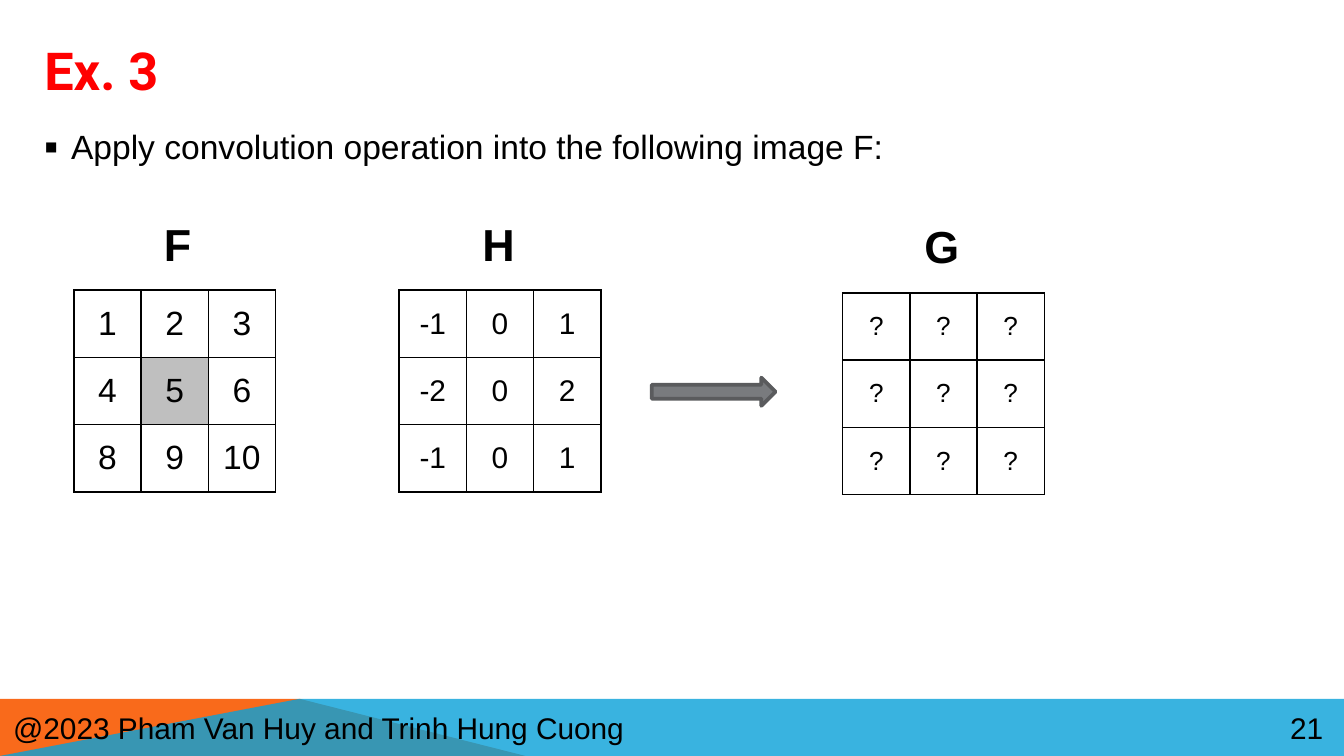
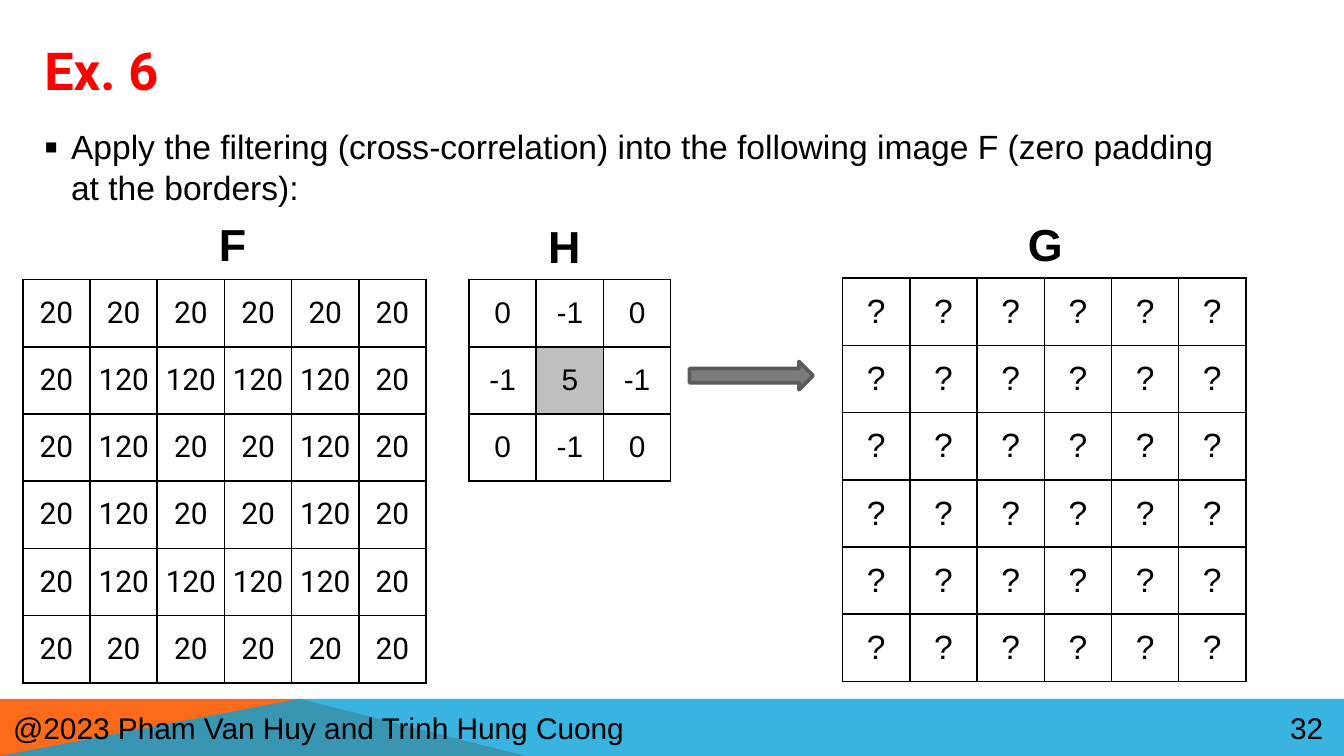
from dataclasses import dataclass
from typing import Optional

from lxml import etree
from pptx import Presentation
from pptx.dml.color import RGBColor
from pptx.enum import shapes, text
from pptx.oxml import ns
from pptx.util import Inches, Pt

WHITE = RGBColor(0xFF, 0xFF, 0xFF)
BLACK = RGBColor(0x00, 0x00, 0x00)
TITLE_RED = RGBColor(0xFF, 0x00, 0x00)
BAND_ORANGE = RGBColor(0xF9, 0x6A, 0x1B)
BAND_BLUE = RGBColor(0x08, 0xA1, 0xD9)
CENTRE_GREY = RGBColor(0xBF, 0xBF, 0xBF)
ARROW_FILL = RGBColor(0x79, 0x7B, 0x7E)
ARROW_LINE = RGBColor(0x5A, 0x5B, 0x5D)

BODY_FONT = "Arial"
TITLE_FONT = "Roboto"
SLIDE_WIDTH = 10
SLIDE_HEIGHT = SLIDE_WIDTH * 9 / 16
BAND_TOP, BAND_PEAK = 5.2, 2.23
CELL_SIZE = 0.5
LABEL_WIDTHS = {"F": 0.41, "G": 0.46, "H": 0.45}
FOOTER = "@2023 Pham Van Huy and Trinh Hung Cuong"


@dataclass(frozen=True)
class Matrix:
    """A labelled grid; marked_fill colours the cell in row 2, column 2."""
    name: str
    left: float
    top: float
    label_left: float
    label_top: float
    size: int
    rows: list[list[str]]
    marked_fill: Optional[RGBColor] = None
    font: str = BODY_FONT


@dataclass(frozen=True)
class Exercise:
    title: str
    task: str
    number: int
    arrow_left: float
    arrow_top: float
    matrices: list[Matrix]


def split_rows(*rows: str) -> list[list[str]]:
    return [row.split() for row in rows]


def unknown(count: int) -> list[list[str]]:
    return [["?"] * count for _ in range(count)]


EDGE_ROW = "20 20 20 20 20 20"
FULL_ROW = "20 120 120 120 120 20"
HOLLOW_ROW = "20 120 20 20 120 20"

EXERCISES = [
    Exercise(
        "Ex. 3", "Apply convolution operation into the following image F:",
        21, 4.85, 2.81,
        [
            Matrix("F", 0.55, 2.16, 1.12, 1.56, 18,
                   split_rows("1 2 3", "4 5 6", "8 9 10"), CENTRE_GREY),
            Matrix("H", 2.97, 2.16, 3.49, 1.56, 16,
                   split_rows("-1 0 1", "-2 0 2", "-1 0 1")),
            Matrix("G", 6.27, 2.18, 6.78, 1.58, 14, unknown(3), WHITE),
        ]),
    Exercise(
        "Ex. 6", "Apply the filtering (cross-correlation) into the following "
        "image F (zero padding at the borders):",
        32, 5.13, 2.69,
        [
            Matrix("F", 0.17, 2.08, 1.53, 1.56, 16,
                   split_rows(EDGE_ROW, FULL_ROW, HOLLOW_ROW,
                              HOLLOW_ROW, FULL_ROW, EDGE_ROW),
                   WHITE, TITLE_FONT),
            Matrix("H", 3.49, 2.08, 3.98, 1.58, 16,
                   split_rows("0 -1 0", "-1 5 -1", "0 -1 0"), CENTRE_GREY),
            Matrix("G", 6.27, 2.07, 7.55, 1.56, 18, unknown(6), WHITE),
        ]),
]


def format_paragraph(paragraph, size: int, name: str = BODY_FONT,
                     color: RGBColor = BLACK, bold: bool = False) -> None:
    font = paragraph.font
    font.size, font.name, font.bold = Pt(size), name, bold
    font.color.rgb = color


def add_text(slide, content: str, left: float, top: float, width: float,
             height: float, wrap: bool = True):
    """Add a text box and return its frame and only paragraph."""
    box = slide.shapes.add_textbox(Inches(left), Inches(top),
                                   Inches(width), Inches(height))
    frame = box.text_frame
    frame.word_wrap = wrap
    frame.text = content
    return frame, frame.paragraphs[0]


def add_band(slide, points: list[tuple[float, float]], color: RGBColor,
             opacity: int = 100) -> None:
    corners = [(Inches(x), Inches(y)) for x, y in points]
    builder = slide.shapes.build_freeform(*corners[0])
    builder.add_line_segments(corners[1:])
    band = builder.convert_to_shape()
    band.shadow.inherit = False
    band.line.fill.background()
    band.fill.solid()
    band.fill.fore_color.rgb = color
    if opacity < 100:
        color_element = band._element.spPr.find(".//" + ns.qn("a:srgbClr"))
        etree.SubElement(color_element, ns.qn("a:alpha"),
                         val=str(opacity * 1000))


def add_footer(slide, number: int) -> None:
    add_band(slide, [(0, SLIDE_HEIGHT), (0, BAND_TOP), (BAND_PEAK, BAND_TOP),
                     (3.91, SLIDE_HEIGHT)], BAND_ORANGE)
    add_band(slide, [(0, SLIDE_HEIGHT), (BAND_PEAK, BAND_TOP),
                     (SLIDE_WIDTH, BAND_TOP), (SLIDE_WIDTH, SLIDE_HEIGHT)],
             BAND_BLUE, 80)
    for content, left, width, alignment in (
            (FOOTER, 0, 4.8, text.PP_ALIGN.LEFT),
            (str(number), 9.5, 0.49, text.PP_ALIGN.JUSTIFY)):
        frame, paragraph = add_text(slide, content, left, 5.23, width, 0.37)
        frame.vertical_anchor = text.MSO_ANCHOR.MIDDLE
        paragraph.alignment = alignment
        format_paragraph(paragraph, 16)


def set_title(slide, content: str) -> None:
    title = slide.shapes.title
    title.left, title.top = Inches(0.23), Inches(0.29)
    title.width, title.height = Inches(8.23), Inches(0.45)
    frame = title.text_frame
    frame.text = content
    frame.auto_size = text.MSO_AUTO_SIZE.NONE
    frame.vertical_anchor = text.MSO_ANCHOR.MIDDLE
    paragraph = frame.paragraphs[0]
    paragraph.alignment = text.PP_ALIGN.LEFT
    format_paragraph(paragraph, 28, TITLE_FONT, TITLE_RED, True)


def add_task(slide, content: str) -> None:
    _, paragraph = add_text(slide, content, 0.23, 0.89, 8.95, 4.24)
    properties = paragraph._p.get_or_add_pPr()
    properties.set("marL", str(Inches(0.2)))
    properties.set("indent", str(-Inches(0.2)))
    etree.SubElement(properties, ns.qn("a:buSzPct"), val="120000")
    etree.SubElement(properties, ns.qn("a:buFont"), typeface=BODY_FONT)
    etree.SubElement(properties, ns.qn("a:buChar"), char="▪")
    format_paragraph(paragraph, 18)


def add_borders(cell) -> None:
    properties = cell._tc.get_or_add_tcPr()
    for side in ("lnL", "lnR", "lnT", "lnB"):
        line = etree.SubElement(properties, ns.qn("a:" + side),
                                w=str(Pt(1)))
        fill = etree.SubElement(line, ns.qn("a:solidFill"))
        etree.SubElement(fill, ns.qn("a:srgbClr"), val=str(BLACK))


def fill_cell(cell, value: str, matrix: Matrix,
              color: Optional[RGBColor]) -> None:
    cell.text = value
    cell.vertical_anchor = text.MSO_ANCHOR.MIDDLE
    cell.margin_left = cell.margin_right = 0
    cell.margin_top = cell.margin_bottom = 0
    paragraph = cell.text_frame.paragraphs[0]
    paragraph.alignment = text.PP_ALIGN.CENTER
    format_paragraph(paragraph, matrix.size, matrix.font)
    add_borders(cell)
    if color is None:
        cell.fill.background()
    else:
        cell.fill.solid()
        cell.fill.fore_color.rgb = color


def add_matrix(slide, matrix: Matrix) -> None:
    _, label = add_text(slide, matrix.name, matrix.label_left,
                        matrix.label_top, LABEL_WIDTHS[matrix.name], 0.5,
                        wrap=False)
    format_paragraph(label, 24, bold=True)

    count = len(matrix.rows)
    side = Inches(count * CELL_SIZE)
    table = slide.shapes.add_table(count, count, Inches(matrix.left),
                                   Inches(matrix.top), side, side).table
    table.first_row = table.horz_banding = False
    for row, values in enumerate(matrix.rows):
        for column, value in enumerate(values):
            color = matrix.marked_fill if row == column == 1 else None
            fill_cell(table.cell(row, column), value, matrix, color)


def add_arrow(slide, left: float, top: float) -> None:
    arrow = slide.shapes.add_shape(shapes.MSO_SHAPE.RIGHT_ARROW, Inches(left),
                                   Inches(top), Inches(0.92), Inches(0.21))
    arrow.shadow.inherit = False
    arrow.fill.solid()
    arrow.fill.fore_color.rgb = ARROW_FILL
    arrow.line.color.rgb = ARROW_LINE
    arrow.line.width = Pt(2)


def add_exercise(presentation, exercise: Exercise) -> None:
    slide = presentation.slides.add_slide(presentation.slide_layouts[5])
    add_footer(slide, exercise.number)
    set_title(slide, exercise.title)
    add_task(slide, exercise.task)
    for matrix in exercise.matrices:
        add_matrix(slide, matrix)
    add_arrow(slide, exercise.arrow_left, exercise.arrow_top)


def main() -> None:
    presentation = Presentation()
    presentation.slide_width = Inches(SLIDE_WIDTH)
    presentation.slide_height = Inches(SLIDE_HEIGHT)
    for exercise in EXERCISES:
        add_exercise(presentation, exercise)
    presentation.save("out.pptx")


if __name__ == "__main__":
    main()
